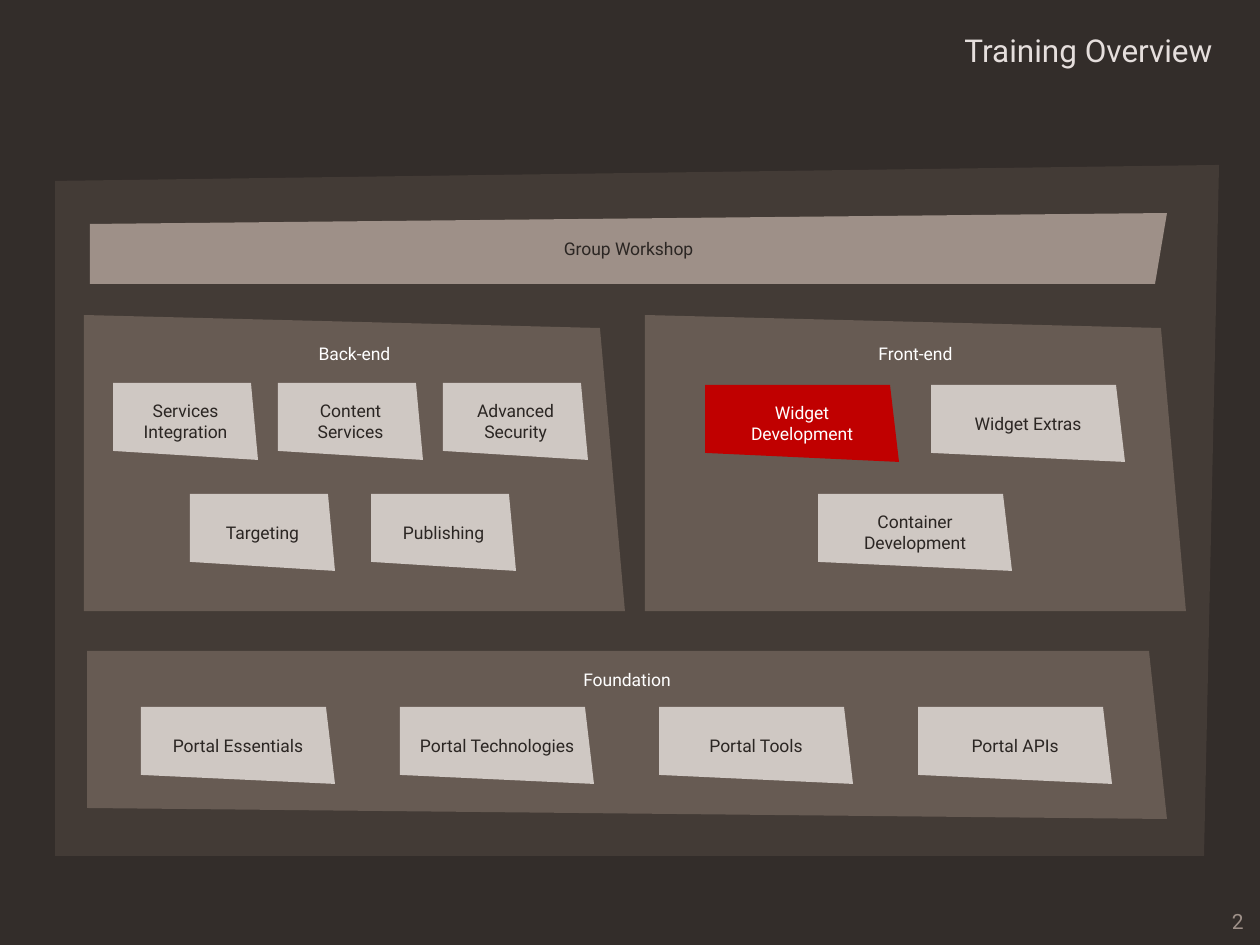
from pptx import Presentation
from pptx.dml.color import RGBColor
from pptx.enum.text import MSO_ANCHOR as Anchor, PP_ALIGN as Align
from pptx.util import Inches, Pt

PX = Inches(1) / 126
FONT = "Roboto"
COLORS = {
    "page": "332D2A",
    "frame": "433B36",
    "panel": "675B53",
    "banner": "9E9088",
    "tile": "CFC8C3",
    "accent": "C00000",
    "title": "E5DEDC",
    "dark": "2B2623",
    "white": "FFFFFF",
}


def px(length):
    """Turn px into whole EMU."""
    return round(length * PX)


def color(name):
    """Look up a palette color."""
    return RGBColor.from_string(COLORS[name])


def write(frame, text, size, ink, align, anchor):
    """Fill a text frame and format every paragraph alike."""
    frame.text = text
    frame.vertical_anchor = anchor
    for para in frame.paragraphs:
        para.alignment = align
        for span in para.runs:
            span.font.name = FONT
            span.font.size = Pt(size)
            span.font.color.rgb = color(ink)


def add_label(page, box, text, size, ink, anchor):
    """Add a right-aligned text box."""
    frame = page.shapes.add_textbox(*map(px, box)).text_frame
    frame.word_wrap = True
    write(frame, text, size, ink, Align.RIGHT, anchor)


def add_slanted(page, box, fill, top_left=0, top_right=(0, 0), bottom_right=0, bottom_left=0):
    """Add a four-sided shape whose corners are pulled in from its box."""
    left, top, width, height = box
    right, bottom = left + width, top + height
    cut_x, cut_y = top_right
    builder = page.shapes.build_freeform(left, top + top_left, scale=PX)
    builder.add_line_segments([
        (right - cut_x, top + cut_y),
        (right - bottom_right, bottom),
        (left, bottom - bottom_left),
    ])
    shape = builder.convert_to_shape()
    shape.shadow.inherit = False
    shape.fill.solid()
    shape.fill.fore_color.rgb = color(fill)
    shape.line.fill.background()
    shape.text_frame.word_wrap = False
    return shape


def add_tile(page, box, text, accent):
    """Add one course tile."""
    fill, ink = ("accent", "white") if accent else ("tile", "dark")
    tile = add_slanted(page, box, fill, top_right=(box[2] // 20, 0), bottom_left=9)
    write(tile.text_frame, text, 10, ink, Align.CENTER, Anchor.MIDDLE)


def add_panel(page, box, heading, heading_top, tile_width, rows, accent=None, **corners):
    """Add a headed panel with rows of evenly spaced tiles."""
    panel = add_slanted(page, box, "panel", **corners)
    panel.text_frame.margin_top = px(heading_top)
    write(panel.text_frame, heading, 10, "white", Align.CENTER, Anchor.TOP)
    for left, top, pitch, names in rows:
        for index, name in enumerate(names):
            tile_box = (box[0] + left + index * pitch, box[1] + top, tile_width, 77)
            add_tile(page, tile_box, name, name == accent)


def add_banner(page, box, text):
    """Add the banner above the panels."""
    banner = add_slanted(page, box, "banner", top_left=11, bottom_right=12)
    write(banner.text_frame, text, 10, "dark", Align.CENTER, Anchor.MIDDLE)


def add_overview(page, box):
    """Add the frame with the banner and the three panels."""
    left, top, _, _ = box
    add_slanted(page, box, "frame", top_left=16, bottom_right=15)
    add_banner(page, (left + 35, top + 48, 1077, 71), "Group Workshop")
    add_panel(page, (left + 29, top + 150, 541, 296), "Back-end", 28, 145, [
        (29, 68, 165, ["Services\nIntegration", "Content\nServices", "Advanced\nSecurity"]),
        (106, 179, 181, ["Targeting", "Publishing"]),
    ], top_right=(25, 13))
    add_panel(page, (left + 590, top + 150, 541, 296), "Front-end", 28, 194, [
        (60, 70, 226, ["Widget\nDevelopment", "Widget Extras"]),
        (173, 179, 226, ["Container\nDevelopment"]),
    ], accent="Widget\nDevelopment", top_right=(25, 13))
    add_panel(page, (left + 32, top + 486, 1080, 168), "Foundation", 18, 194, [
        (54, 56, 259, ["Portal Essentials", "Portal Technologies", "Portal Tools", "Portal APIs"]),
    ], top_right=(18, 0), bottom_left=11)


def main():
    """Build and save the deck."""
    deck = Presentation()
    deck.slide_width, deck.slide_height = Inches(10), Inches(7.5)
    page = deck.slides.add_slide(deck.slide_layouts[6])
    page.background.fill.solid()
    page.background.fill.fore_color.rgb = color("page")
    add_label(page, (362, 25, 863, 50), "Training Overview", 18, "title", Anchor.TOP)
    add_label(page, (1026, 903, 230, 36), "2", 12, "banner", Anchor.MIDDLE)
    add_overview(page, (55, 165, 1164, 691))
    deck.save("out.pptx")


if __name__ == "__main__":
    main()
